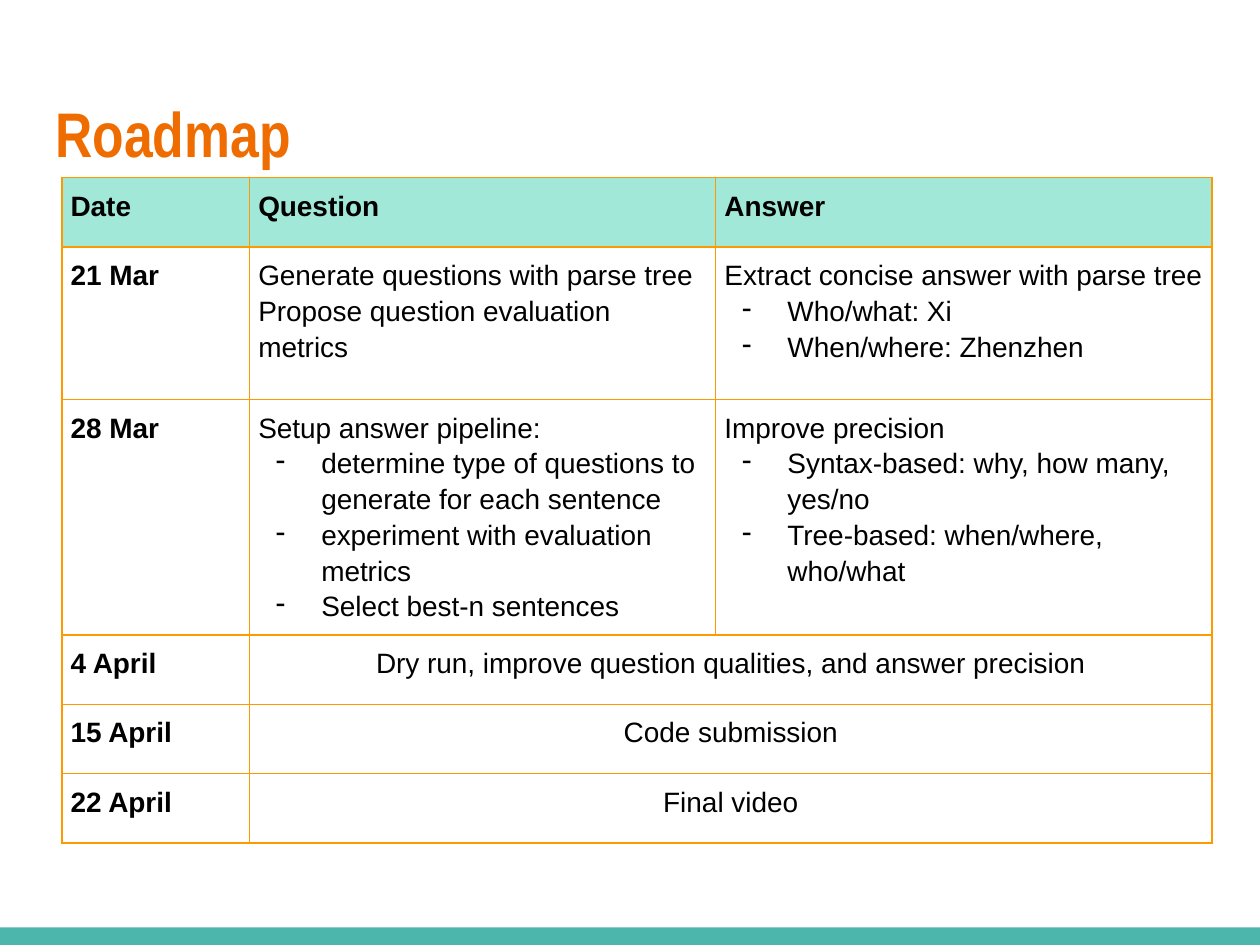
from lxml.etree import SubElement
from pptx import Presentation
from pptx.dml.color import RGBColor
from pptx.enum.shapes import MSO_SHAPE
from pptx.enum.text import MSO_ANCHOR, PP_ALIGN
from pptx.oxml.ns import qn
from pptx.util import Inches, Pt


def color(value):
    return RGBColor.from_string(value)


def add_border(cell, side, width):
    line = SubElement(cell._tc.get_or_add_tcPr(), qn(f"a:{side}"), w=str(Pt(width)))
    fill = SubElement(line, qn("a:solidFill"))
    SubElement(fill, qn("a:srgbClr"), val="FF9900")


prs = Presentation()
prs.slide_width, prs.slide_height = Inches(10), Inches(7.5)
slide = prs.slides.add_slide(prs.slide_layouts[5])

footer_band = slide.shapes.add_shape(
    MSO_SHAPE.RECTANGLE, Inches(0), Inches(7.36), Inches(10), Inches(0.14))
footer_band.shadow.inherit = False
footer_band.fill.solid()
footer_band.fill.fore_color.rgb = color("4DB6AC")
footer_band.line.fill.background()

heading = slide.shapes.title
heading.left, heading.top = Inches(0.34), Inches(0.65)
heading.width, heading.height = Inches(9.32), Inches(1.03)
frame = heading.text_frame
frame.margin_left = frame.margin_right = Inches(0.1)
frame.margin_top = frame.margin_bottom = Inches(0.1)
frame.vertical_anchor = MSO_ANCHOR.TOP
frame.paragraphs[0].alignment = PP_ALIGN.LEFT
run = frame.paragraphs[0].add_run()
run.text = "Roadmap"
run.font.name, run.font.size, run.font.bold = "Arial Narrow", Pt(36), True
run.font.color.rgb = color("EF6C00")

BULLET = "- "
schedule = [
    (0.55, [["Date"], ["Question"], ["Answer"]]),
    (1.21, [["21 Mar"],
            ["Generate questions with parse tree",
             "Propose question evaluation metrics"],
            ["Extract concise answer with parse tree",
             "- Who/what: Xi",
             "- When/where: Zhenzhen"]]),
    (1.87, [["28 Mar"],
            ["Setup answer pipeline:",
             "- determine type of questions to generate for each sentence",
             "- experiment with evaluation metrics",
             "- Select best-n sentences"],
            ["Improve precision",
             "- Syntax-based: why, how many, yes/no",
             "- Tree-based: when/where, who/what"]]),
    (0.55, [["4 April"], ["Dry run, improve question qualities, and answer precision"]]),
    (0.55, [["15 April"], ["Code submission"]]),
    (0.55, [["22 April"], ["Final video"]]),
]
column_widths = [1.49, 3.7, 3.94]

roadmap = slide.shapes.add_table(
    len(schedule), len(column_widths), Inches(0.49), Inches(1.41),
    Inches(sum(column_widths)), Inches(sum(height for height, _ in schedule))).table
roadmap.first_row = roadmap.horz_banding = False
for column, width in zip(roadmap.columns, column_widths):
    column.width = Inches(width)

for row, (height, entries) in enumerate(schedule):
    roadmap.rows[row].height = Inches(height)
    merged = len(entries) == 2
    if merged:
        roadmap.cell(row, 1).merge(roadmap.cell(row, 2))

    for col in range(len(column_widths)):
        cell = roadmap.cell(row, col)
        cell.margin_left = cell.margin_right = Inches(0.07)
        cell.margin_top = cell.margin_bottom = Inches(0.07)
        for side, border_width in (("lnL", 1 if col == 0 else 0.75),
                                   ("lnR", 1 if col == 2 or (merged and col == 1) else 0.75),
                                   ("lnT", 1), ("lnB", 1)):
            add_border(cell, side, border_width)
        if row == 0:
            cell.fill.solid()
            cell.fill.fore_color.rgb = color("A1E8D9")
        else:
            cell.fill.background()
        if cell.is_spanned:
            continue

        strong = row == 0 or col == 0
        for index, entry in enumerate(entries[col]):
            text = cell.text_frame
            paragraph = text.add_paragraph() if index else text.paragraphs[0]
            paragraph.line_spacing = 1.15
            if strong:
                paragraph.alignment = PP_ALIGN.JUSTIFY
            else:
                paragraph.alignment = PP_ALIGN.CENTER if merged else PP_ALIGN.LEFT
            if entry.startswith(BULLET):
                properties = paragraph._p.get_or_add_pPr()
                properties.set("marL", str(Inches(0.5)))
                properties.set("indent", str(Inches(-0.36)))
                SubElement(properties, qn("a:buChar"), char="-")
            run = paragraph.add_run()
            run.text = entry.removeprefix(BULLET)
            run.font.name, run.font.size, run.font.bold = "Arial", Pt(16), strong
            run.font.color.rgb = color("000000")

prs.save("out.pptx")
